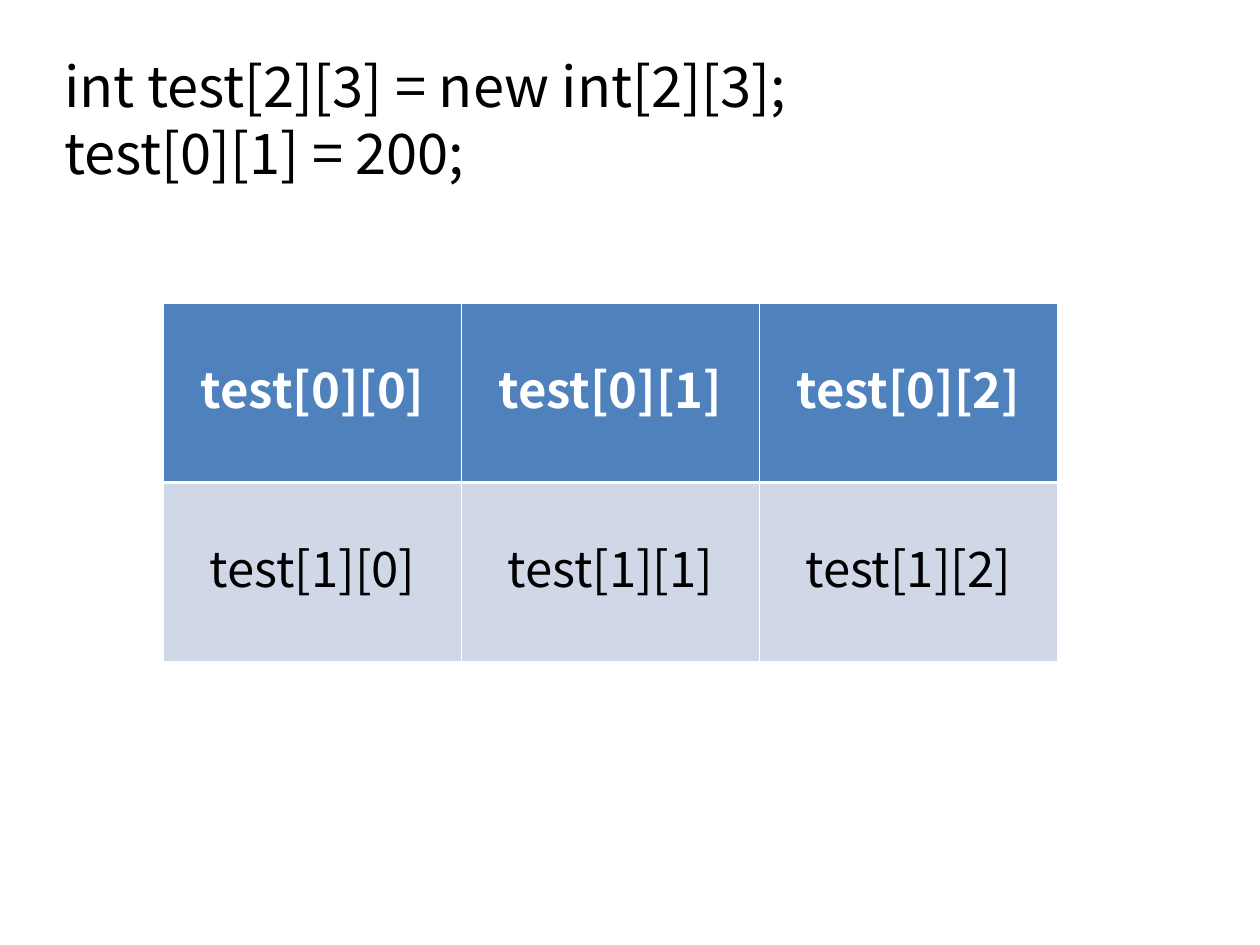
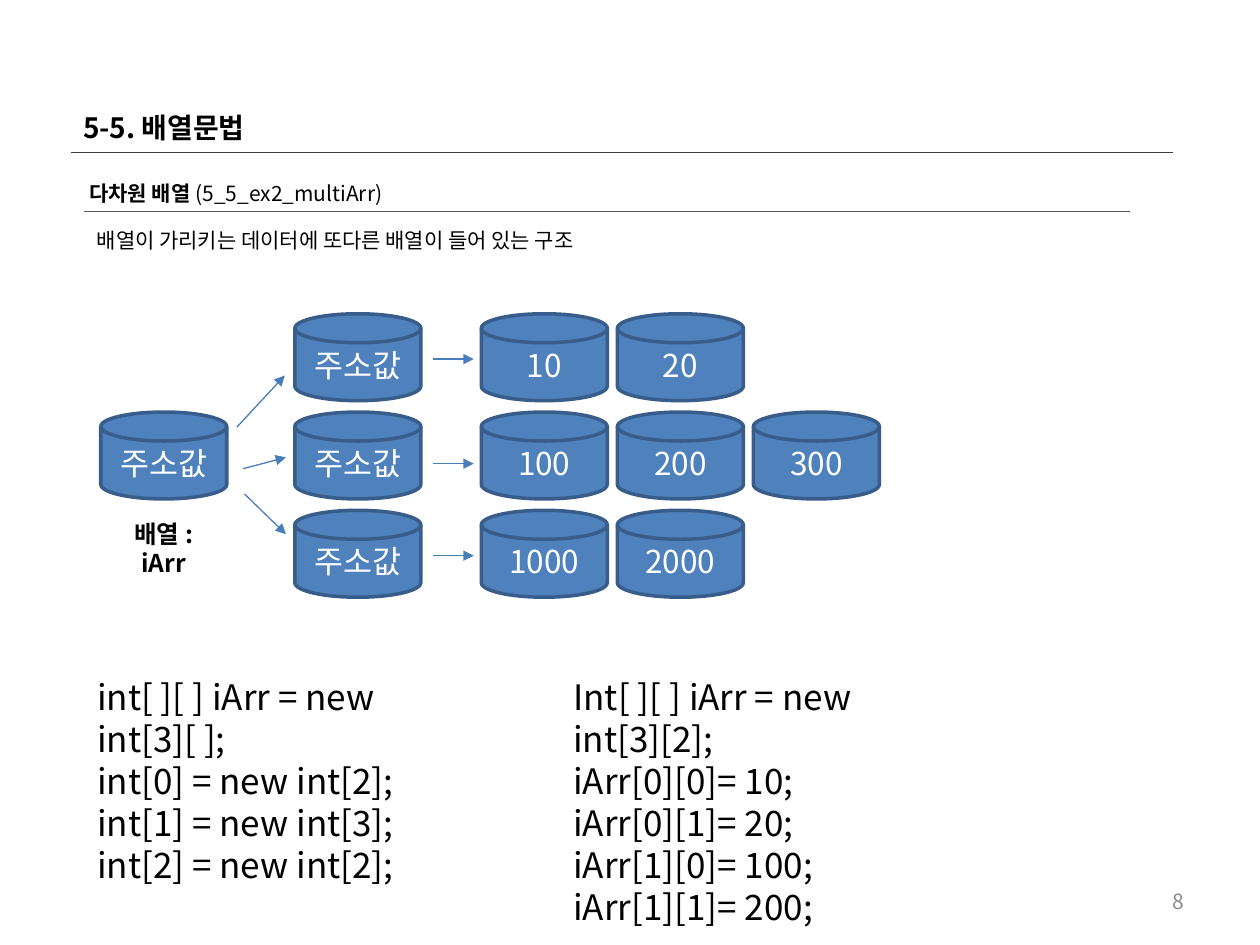
import pptx
import pptx.util
import pptx.dml.color
import pptx.enum.shapes
import pptx.enum.text
import pptx.oxml.ns
import lxml.etree
from dataclasses import dataclass
from pptx.util import Inches


@dataclass(frozen=True)
class Theme:
    font: str = "Noto Sans CJK KR"
    text: str = "000000"
    light: str = "FFFFFF"
    fill: str = "4F81BD"
    outline: str = "385D8A"
    arrow: str = "4A7EBB"
    pale: str = "D0D8E8"
    number: str = "898989"
    title_rule: str = "404040"
    section_rule: str = "595959"
    code_title_size: int = 32
    table_size: int = 28
    code_size: int = 20
    disk_size: int = 18
    title_size: int = 16
    label_size: int = 14
    small_size: int = 12
    line_height: float = 1.2


theme = Theme()
rgb = pptx.dml.color.RGBColor.from_string
qn = pptx.oxml.ns.qn
align = pptx.enum.text.PP_ALIGN
anchors = pptx.enum.text.MSO_ANCHOR
shapes = pptx.enum.shapes.MSO_SHAPE


def format_text(text_frame, size, color=theme.text, bold=False, alignment=align.LEFT,
                anchor=anchors.TOP, wrap=True):
    text_frame.word_wrap = wrap
    text_frame.auto_size = pptx.enum.text.MSO_AUTO_SIZE.NONE
    text_frame.vertical_anchor = anchor
    for paragraph in text_frame.paragraphs:
        paragraph.alignment = alignment
        paragraph.space_before = pptx.util.Pt(0)
        paragraph.line_spacing = pptx.util.Pt(size * theme.line_height)
        for run in paragraph.runs:
            run.font.size = pptx.util.Pt(size)
            run.font.bold = bold
            run.font.color.rgb = rgb(color)
            run.font.name = theme.font
            east_asian = lxml.etree.SubElement(run.font._element, qn("a:ea"))
            east_asian.set("typeface", theme.font)


def add_line(slide, start, end, color, width, arrow=False):
    line = slide.shapes.add_connector(
        pptx.enum.shapes.MSO_CONNECTOR.STRAIGHT,
        *(Inches(value) for value in start + end))
    line.line.color.rgb = rgb(color)
    line.line.width = pptx.util.Pt(width)
    if arrow:
        tail = lxml.etree.SubElement(line.line._get_or_add_ln(), qn("a:tailEnd"))
        tail.set("type", "triangle")
    lxml.etree.SubElement(line._element.spPr, qn("a:effectLst"))


presentation = pptx.Presentation()
presentation.slide_width = Inches(10)
presentation.slide_height = Inches(7.5)

slide = presentation.slides.add_slide(presentation.slide_layouts[5])
title = slide.shapes.title
title.left, title.top, title.width, title.height = map(Inches, (0.41, 0.36, 5.99, 1.17))
title.text_frame.text = "int test[2][3] = new int[2][3];\ntest[0][1] = 200;"
format_text(title.text_frame, theme.code_title_size, wrap=False)

table = slide.shapes.add_table(
    2, 3, Inches(1.3), Inches(2.41), Inches(7.09), Inches(2.84)).table
thin, thick = 0.45, 1.47
row_styles = [
    (theme.fill, theme.light, True, (thin, thin, thin, thick)),
    (theme.pale, theme.text, False, (thin, thin, thick, thin)),
]
for row, (fill, color, bold, widths) in enumerate(row_styles):
    for column in range(3):
        cell = table.cell(row, column)
        cell.text_frame.text = f"test[{row}][{column}]"
        format_text(cell.text_frame, theme.table_size, color, bold, align.CENTER)
        cell.vertical_anchor = anchors.MIDDLE
        properties = cell._tc.get_or_add_tcPr()
        for side, width in zip(("a:lnL", "a:lnR", "a:lnT", "a:lnB"), widths):
            border = lxml.etree.SubElement(properties, qn(side))
            border.set("w", str(int(pptx.util.Pt(width))))
            border_fill = lxml.etree.SubElement(border, qn("a:solidFill"))
            lxml.etree.SubElement(border_fill, qn("a:srgbClr")).set("val", theme.light)
        cell.fill.solid()
        cell.fill.fore_color.rgb = rgb(fill)

slide = presentation.slides.add_slide(presentation.slide_layouts[3])
title = slide.shapes.title
title.left, title.top, title.width, title.height = map(Inches, (0.56, 0.83, 8.76, 0.37))
title.text_frame.text = "5-5. 배열문법"
format_text(title.text_frame, theme.title_size, bold=True)
add_line(slide, (0.56, 1.21), (9.31, 1.21), theme.title_rule, 1)
add_line(slide, (0.67, 1.68), (8.97, 1.68), theme.section_rule, 0.5)

labels = [
    ((0.61, 1.38, 8.36, 0.3), "다차원 배열 ", theme.small_size, theme.text, True,
     align.LEFT, anchors.TOP),
    ((0.67, 1.76, 8.3, 0.3), "배열이 가리키는 데이터에 또다른 배열이 들어 있는 구조",
     theme.small_size, theme.text, False, align.LEFT, anchors.TOP),
    ((0.8, 4.07, 1, 0.57), "배열 : iArr", theme.label_size, theme.text, True,
     align.CENTER, anchors.TOP),
    ((7.17, 6.95, 2.33, 0.4), "8", theme.small_size, theme.number, False,
     align.RIGHT, anchors.MIDDLE),
]
for position, text, size, color, bold, alignment, anchor in labels:
    box = slide.shapes.add_textbox(*map(Inches, position))
    box.text_frame.text = text
    if text.startswith("다차원"):
        box.text_frame.paragraphs[0].add_run().text = "(5_5_ex2_multiArr)"
    format_text(box.text_frame, size, color, bold, alignment, anchor)
    for run in box.text_frame.paragraphs[0].runs[1:]:
        run.font.bold = False

disk_top, row_step = 2.49, 0.78
address_left, value_left, value_step = 2.34, 3.82, 1.08
value_rows = [(10, 20), (100, 200, 300), (1000, 2000)]
disks = [(0.8, 1, "주소값")]
for row, values in enumerate(value_rows):
    disks.append((address_left, row, "주소값"))
    for column, value in enumerate(values):
        disks.append((value_left + column * value_step, row, str(value)))
for left, row, text in disks:
    disk = slide.shapes.add_shape(
        shapes.FLOWCHART_MAGNETIC_DISK, Inches(left), Inches(disk_top + row * row_step),
        Inches(1), Inches(0.69))
    disk.shadow.inherit = False
    disk.fill.solid()
    disk.fill.fore_color.rgb = rgb(theme.fill)
    disk.line.color.rgb = rgb(theme.outline)
    disk.line.width = pptx.util.Pt(2)
    disk.text_frame.text = text
    format_text(disk.text_frame, theme.disk_size, theme.light,
                alignment=align.CENTER, anchor=anchors.MIDDLE)

arrows = [
    ((1.88, 3.39), (2.26, 2.98)),
    ((1.93, 3.72), (2.27, 3.63)),
    ((1.94, 3.92), (2.27, 4.24)),
]
arrows += [((3.44, top), (3.76, top)) for top in (2.85, 3.68, 4.41)]
for start, end in arrows:
    add_line(slide, start, end, theme.arrow, 0.75, arrow=True)

code_blocks = [
    (1, 0.67, 1.77, ["int[ ][ ] iArr = new int[3][ ];", "int[0] = new int[2];",
                     "int[1] = new int[3];", "int[2] = new int[2];"]),
    (2, 4.45, 2.1, ["Int[ ][ ] iArr = new int[3][2];", "iArr[0][0]= 10;",
                    "iArr[0][1]= 20;", "iArr[1][0]= 100;", "iArr[1][1]= 200;"]),
]
for index, left, height, lines in code_blocks:
    body = slide.placeholders[index]
    body.left, body.top, body.width, body.height = map(Inches, (left, 5.31, 2.9, height))
    body.text_frame.text = "\n".join(lines)
    format_text(body.text_frame, theme.code_size)
    for paragraph in body.text_frame.paragraphs:
        properties = paragraph._p.get_or_add_pPr()
        properties.set("marL", "0")
        properties.set("indent", "0")
        lxml.etree.SubElement(properties, qn("a:buNone"))

presentation.save("out.pptx")
